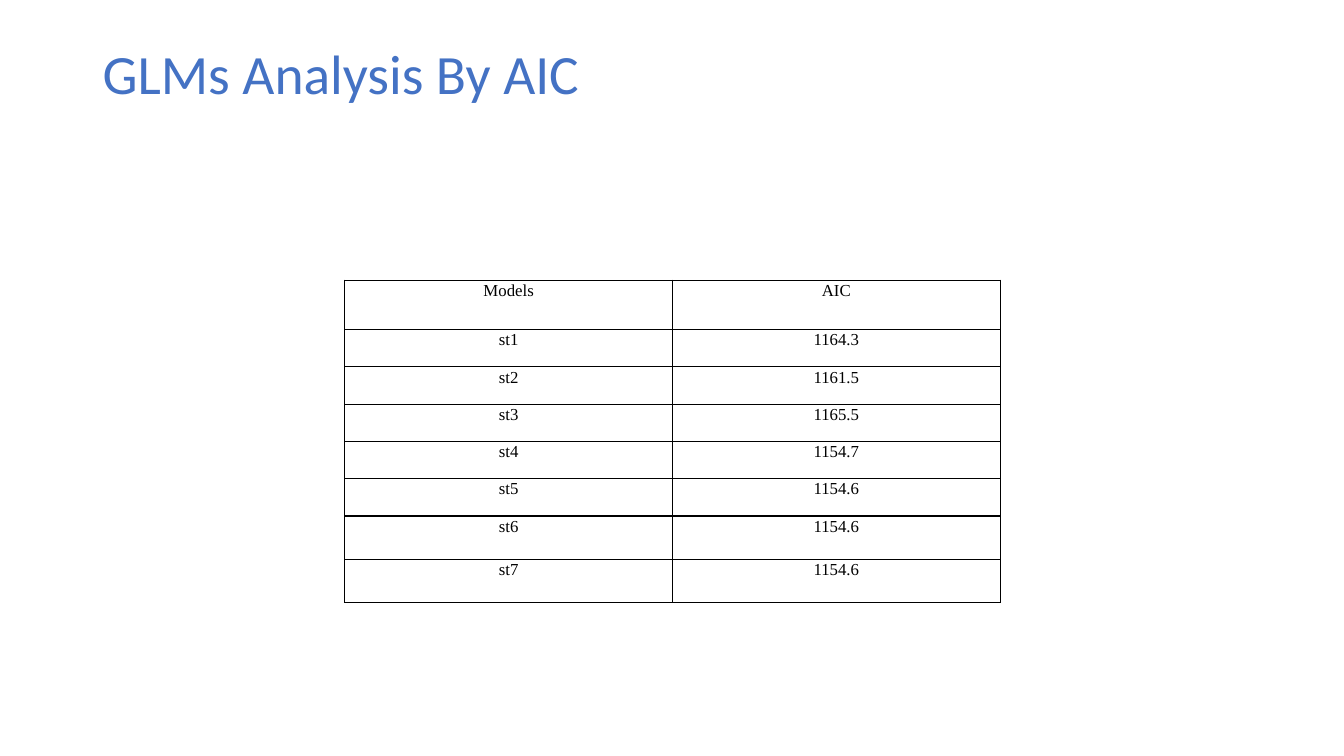
from lxml.etree import SubElement
from pptx import Presentation
from pptx.dml.color import RGBColor
from pptx.enum.text import MSO_ANCHOR, PP_ALIGN
from pptx.oxml.ns import qn
from pptx.util import Inches, Pt

TITLE = "GLMs Analysis By AIC"
ROWS = [
    ("Models", "AIC"),
    ("st1", "1164.3"),
    ("st2", "1161.5"),
    ("st3", "1165.5"),
    ("st4", "1154.7"),
    ("st5", "1154.6"),
    ("st6", "1154.6"),
    ("st7", "1154.6"),
]
HEIGHTS = [0.49] + [0.37] * 5 + [0.43] * 2
WIDTH, HEIGHT = 13.33, 7.5
COL = 3.25
LEFT, TOP = 3.42, 2.78
BLUE, BLACK = "4472C4", "000000"


def color(code):
    return RGBColor.from_string(code)


def write(frame, text, size, font, ink, align=PP_ALIGN.LEFT, line=1.0, after=0):
    para = frame.paragraphs[0]
    para.text = text
    para.alignment = align
    para.line_spacing = line
    para.space_after = Pt(after)
    para.font.size = Pt(size)
    para.font.name = font
    para.font.color.rgb = color(ink)


def border(cell, ink, width):
    """Draw all four sides of a table cell."""
    props = cell._tc.get_or_add_tcPr()
    for side in ("lnL", "lnR", "lnT", "lnB"):
        edge = SubElement(props, qn(f"a:{side}"), w=str(Pt(width)))
        fill = SubElement(edge, qn("a:solidFill"))
        SubElement(fill, qn("a:srgbClr"), val=ink)


def add_title(slide):
    box = slide.shapes.add_textbox(
        Inches(0.92), Inches(0.4), Inches(11.5), Inches(0.71))
    frame = box.text_frame
    frame.word_wrap = True
    frame.vertical_anchor = MSO_ANCHOR.MIDDLE
    write(frame, TITLE, 39.6, "Calibri", BLUE, line=0.9)


def add_scores(slide):
    count = len(ROWS[0])
    table = slide.shapes.add_table(
        len(ROWS), count, Inches(LEFT), Inches(TOP),
        Inches(COL * count), Inches(sum(HEIGHTS))).table
    table.first_row = table.horz_banding = False
    for col in table.columns:
        col.width = Inches(COL)
    for row, high, texts in zip(table.rows, HEIGHTS, ROWS):
        row.height = Inches(high)
        for cell, text in zip(row.cells, texts):
            cell.margin_left = cell.margin_right = Inches(0.07)
            cell.margin_top = cell.margin_bottom = 0
            border(cell, BLACK, 1)
            cell.fill.background()
            write(cell.text_frame, text, 12, "Times New Roman", BLACK,
                  align=PP_ALIGN.CENTER, line=1.07, after=8)


def main():
    deck = Presentation()
    deck.slide_width, deck.slide_height = Inches(WIDTH), Inches(HEIGHT)
    slide = deck.slides.add_slide(deck.slide_layouts[6])
    add_title(slide)
    add_scores(slide)
    deck.save("out.pptx")


if __name__ == "__main__":
    main()
